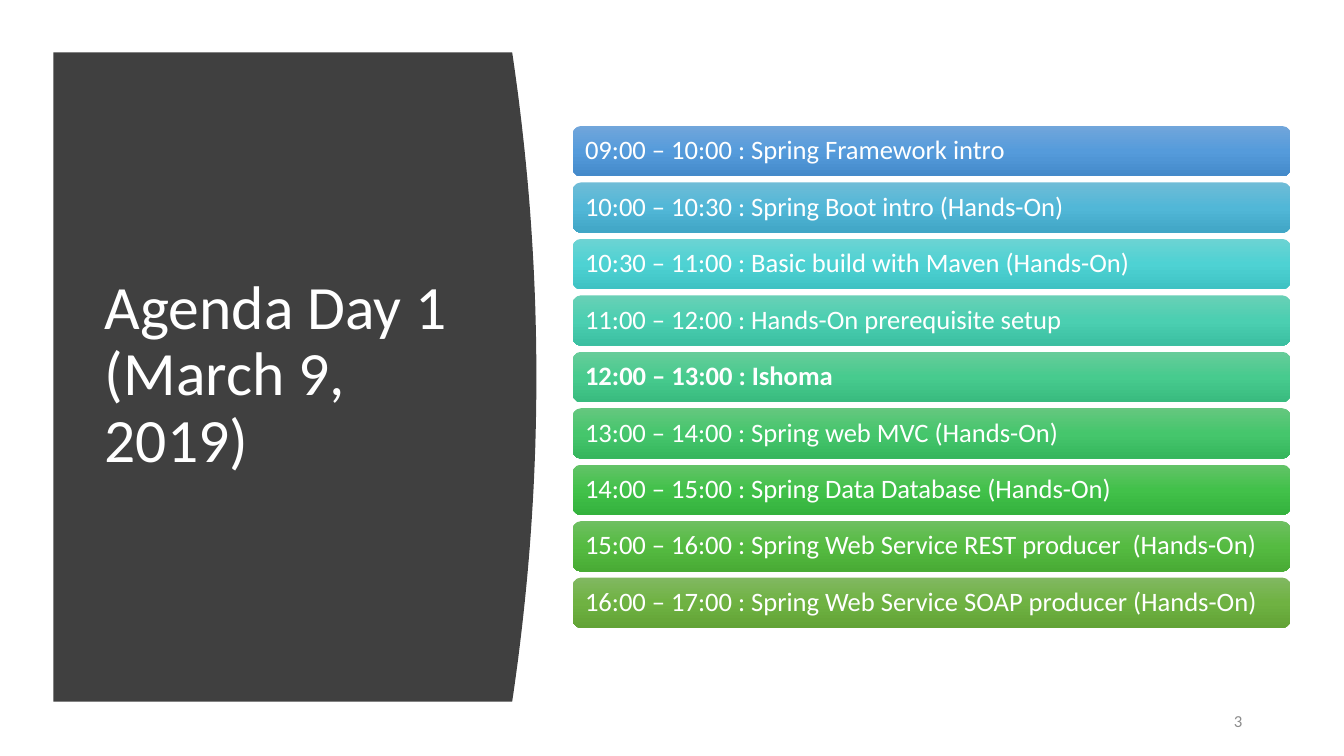
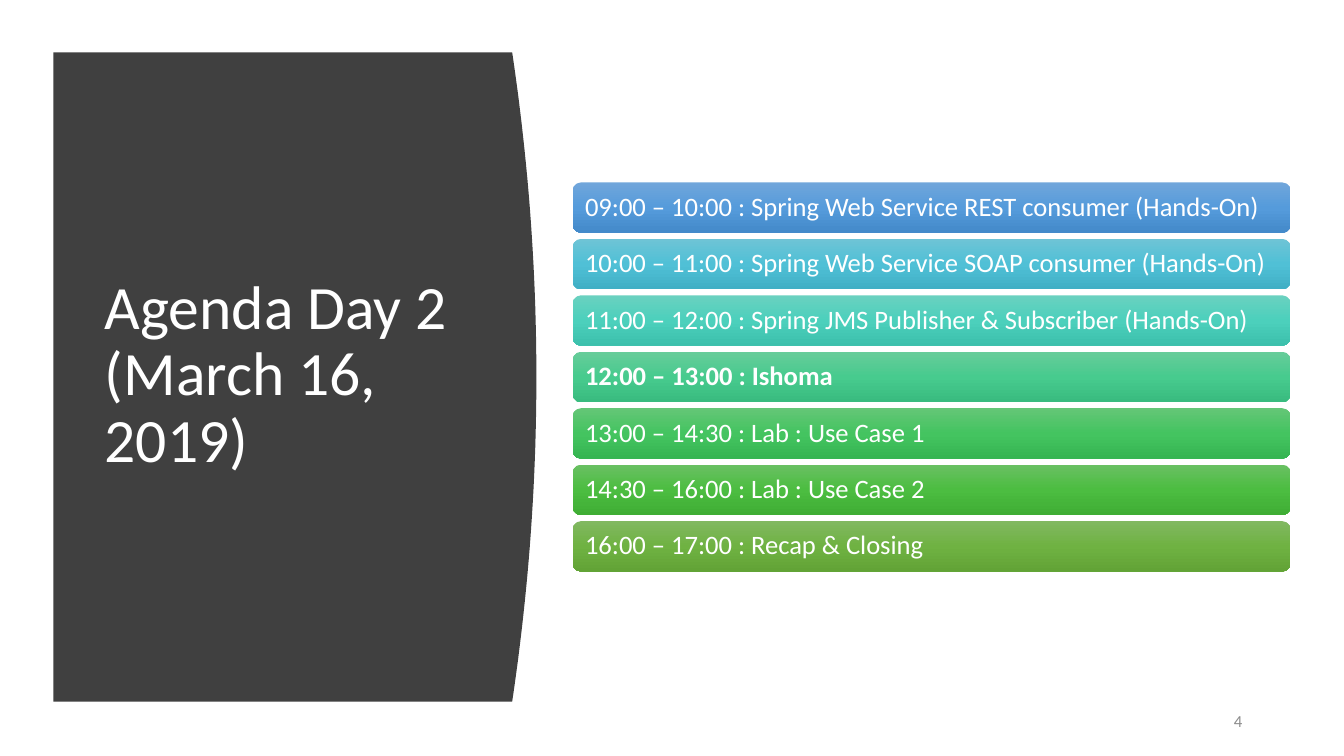
from copy import deepcopy

from pptx import Presentation
from pptx.dml.color import RGBColor
from pptx.enum.shapes import MSO_SHAPE
from pptx.enum.text import MSO_ANCHOR, PP_ALIGN
from pptx.util import Pt


def ramp(*codes):
    return [RGBColor.from_string(code) for code in codes]


PX = 9144
ROUND = MSO_SHAPE.ROUNDED_RECTANGLE
MIDDLE = MSO_ANCHOR.MIDDLE
LEFT, RIGHT = PP_ALIGN.LEFT, PP_ALIGN.RIGHT

WHITE = RGBColor(0xFF, 0xFF, 0xFF)
DARK = RGBColor(0x40, 0x40, 0x40)
GREY = RGBColor(0x8C, 0x8C, 0x8C)

BLUE = ramp("71A6DB", "559BDB", "448ACA")
SKY = ramp("6FBCD7", "51B7D7", "41A6C6")
CYAN = ramp("6EC4D6", "50C0D6", "40AFC5")
AQUA = ramp("6CD3D3", "4ED2D3", "3EC2C3")
TEAL = ramp("6AD1C0", "4CD0BC", "3CC0AC")
SEA = ramp("69D0B6", "4BCFB1", "3BBFA1")
MINT = ramp("67CC9A", "47CB8E", "39BB7F")
JADE = ramp("65C77F", "45C66C", "36B65D")
FERN = ramp("64C677", "44C460", "36B552")
GREEN = ramp("63C368", "42C14A", "34B23D")
GRASS = ramp("69C062", "4CBD41", "3FAD34")
LEAF = ramp("6EBF61", "55BB41", "49AB35")
OLIVE = ramp("81B861", "6FB242", "62A336")

BREAK = "12:00 – 13:00 : Ishoma"
DAYS = [
    ("Agenda Day 1 (March 9, 2019)", "3", [
        ("09:00 – 10:00 : Spring Framework intro", BLUE),
        ("10:00 – 10:30 : Spring Boot intro (Hands-On)", SKY),
        ("10:30 – 11:00 : Basic build with Maven (Hands-On)", AQUA),
        ("11:00 – 12:00 : Hands-On prerequisite setup", SEA),
        (BREAK, MINT),
        ("13:00 – 14:00 : Spring web MVC (Hands-On)", JADE),
        ("14:00 – 15:00 : Spring Data Database (Hands-On)", GREEN),
        ("15:00 – 16:00 : Spring Web Service REST producer  (Hands-On)", LEAF),
        ("16:00 – 17:00 : Spring Web Service SOAP producer (Hands-On)", OLIVE),
    ]),
    ("Agenda Day 2 (March 16, 2019)", "4", [
        ("09:00 – 10:00 : Spring Web Service REST consumer (Hands-On)", BLUE),
        ("10:00 – 11:00 : Spring Web Service SOAP consumer (Hands-On)", CYAN),
        ("11:00 – 12:00 : Spring JMS Publisher & Subscriber (Hands-On)", TEAL),
        (BREAK, MINT),
        ("13:00 – 14:30 : Lab : Use Case 1", FERN),
        ("14:30 – 16:00 : Lab : Use Case 2", GRASS),
        ("16:00 – 17:00 : Recap & Closing", OLIVE),
    ]),
]

TITLE_BOX = (94, 111, 374, 524)
PAGE_BOX = (1173, 695, 69, 40)
BAR_X, BAR_W, BAR_H, GAP = 568, 712, 50, 6
PANEL_X, EDGE, BULGE = 53, 508, 24
TOP, FOOT, STEP = 52, 696, 14
MID = (TOP + FOOT) // 2

TITLE = {"font": {"size": Pt(44), "color": WHITE},
         "para": {"line_spacing": 0.9, "alignment": LEFT}}
PAGE = {"font": {"size": Pt(12), "color": GREY},
        "para": {"alignment": RIGHT}}
BAR = {"font": {"size": Pt(19), "color": WHITE},
       "para": {"line_spacing": 0.9, "alignment": LEFT}}


def emu(*sizes):
    return [round(size * PX) for size in sizes]


def write(shape, text, style, bold=False):
    frame = shape.text_frame
    frame.word_wrap = True
    frame.vertical_anchor = MIDDLE
    para = frame.paragraphs[0]
    for key, val in style["para"].items():
        setattr(para, key, val)
    run = para.add_run()
    run.text = text
    font = run.font
    for key, val in {"name": "Calibri", "bold": bold, **style["font"]}.items():
        if key == "color":
            font.color.rgb = val
        else:
            setattr(font, key, val)


def add_text(slide, box, text, style):
    write(slide.shapes.add_textbox(*emu(*box)), text, style)


def add_panel(slide):
    half = (FOOT - TOP) / 2
    curve = [emu(EDGE + BULGE * (1 - ((y - MID) / half) ** 2), y)
             for y in range(TOP, FOOT + 1, STEP)]
    path = slide.shapes.build_freeform(*emu(PANEL_X, TOP))
    path.add_line_segments(curve + [emu(PANEL_X, FOOT)], close=True)
    panel = path.convert_to_shape()
    panel.shadow.inherit = False
    panel.fill.solid()
    panel.fill.fore_color.rgb = DARK
    panel.line.fill.background()


def shade(shape, tones):
    fill = shape.fill
    fill.gradient()
    fill.gradient_angle = 270
    first = shape._element.spPr.xpath("./a:gradFill/a:gsLst/a:gs")[0]
    first.addnext(deepcopy(first))
    for stop, place, tone in zip(fill.gradient_stops, (0, 0.5, 1), tones):
        stop.position = place
        stop.color.rgb = tone


def add_bars(slide, rows):
    pitch = BAR_H + GAP
    start = MID - (len(rows) * pitch - GAP) / 2
    for i, (text, tones) in enumerate(rows):
        box = emu(BAR_X, start + i * pitch, BAR_W, BAR_H)
        bar = slide.shapes.add_shape(ROUND, *box)
        bar.shadow.inherit = False
        bar.line.fill.background()
        shade(bar, tones)
        write(bar, text, BAR, bold=text == BREAK)


def main():
    deck = Presentation()
    deck.slide_width, deck.slide_height = emu(1333, 750)
    blank = deck.slide_layouts[6]
    for title, page, rows in DAYS:
        slide = deck.slides.add_slide(blank)
        add_panel(slide)
        add_text(slide, TITLE_BOX, title, TITLE)
        add_text(slide, PAGE_BOX, page, PAGE)
        add_bars(slide, rows)
    deck.save("out.pptx")


if __name__ == "__main__":
    main()
